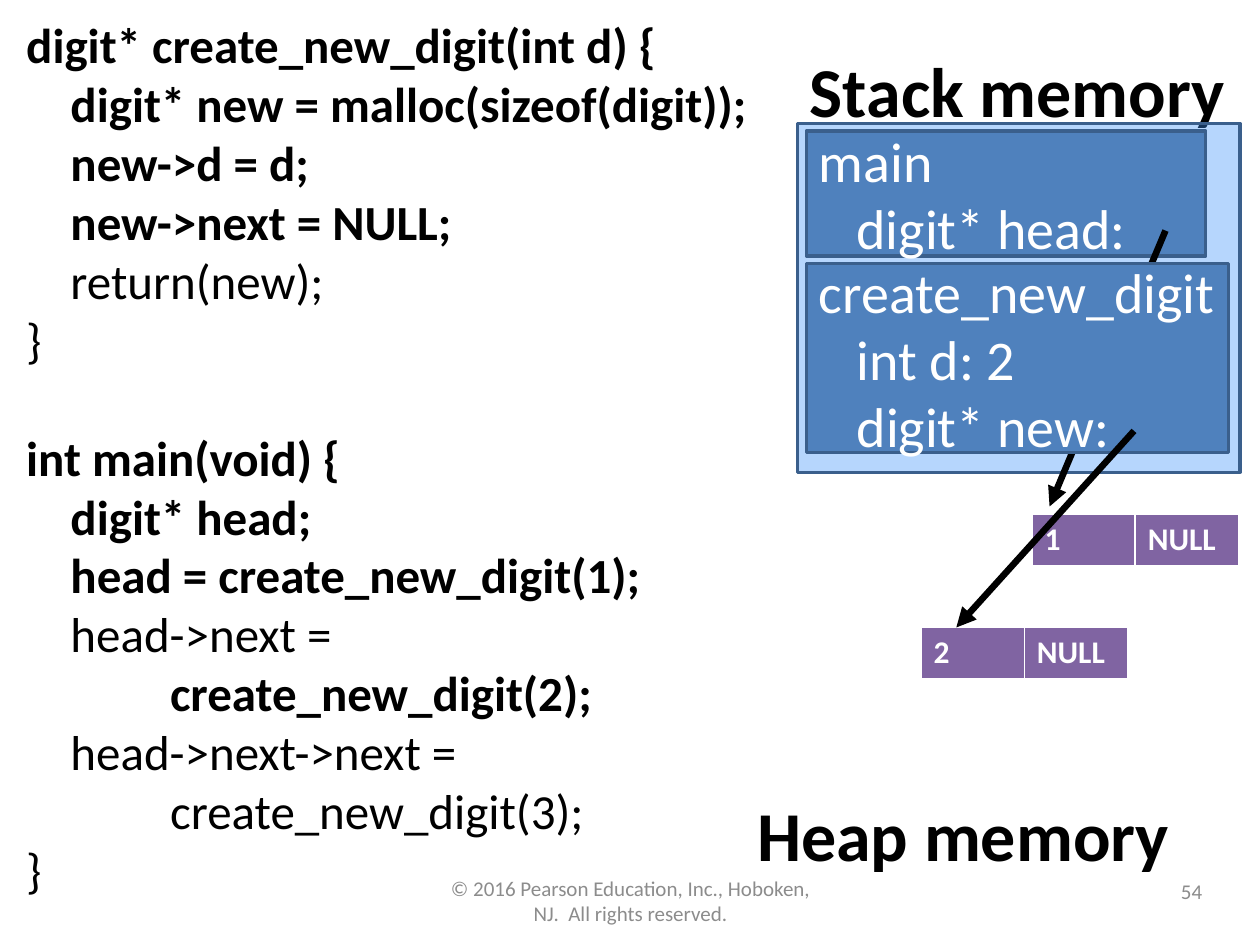
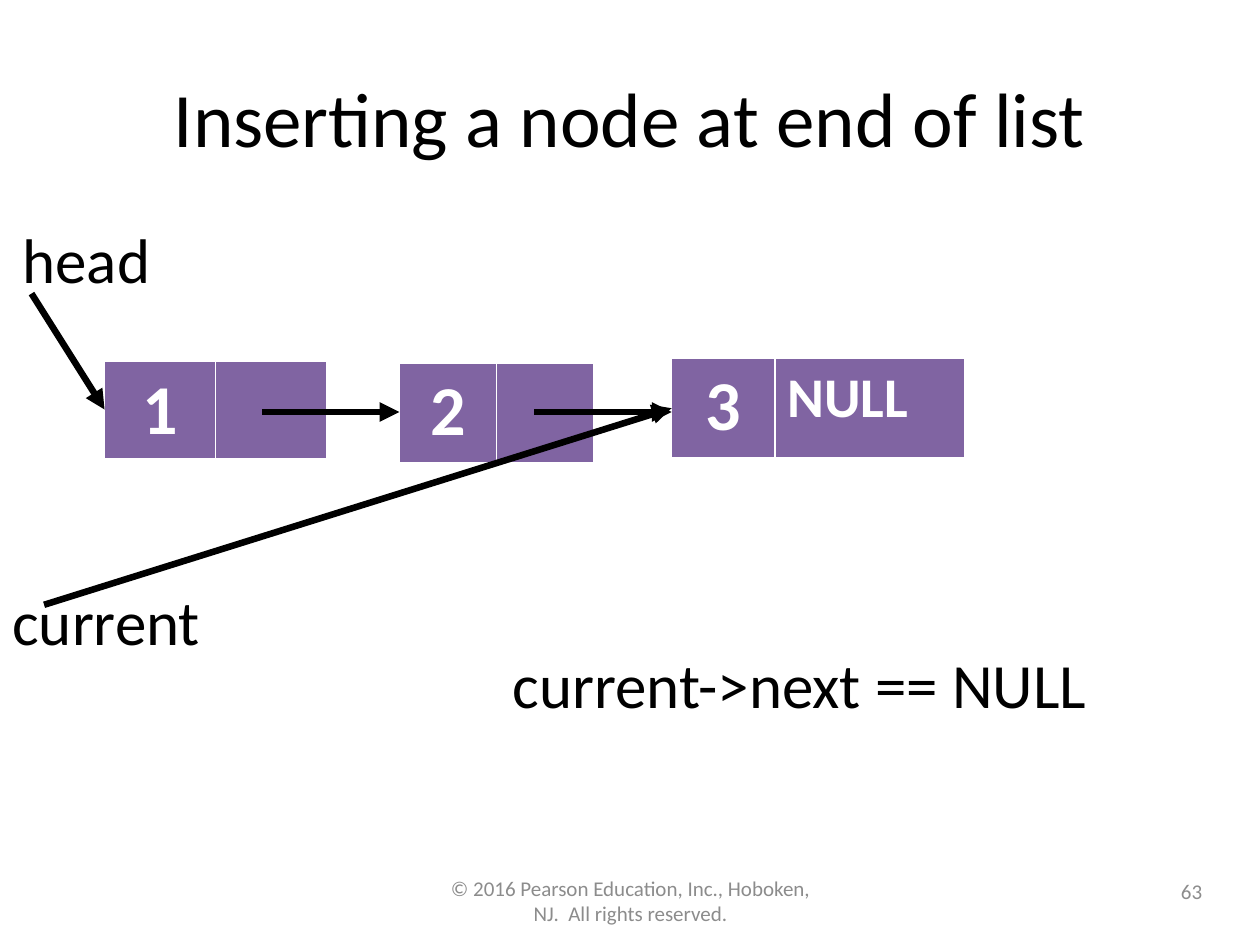
from dataclasses import dataclass

from lxml import etree
from pptx import Presentation
from pptx import util as u
from pptx.dml.color import RGBColor
from pptx.enum import shapes, text
from pptx.oxml.ns import qn


@dataclass(frozen=True)
class Theme:
    font: str = "Calibri"
    ink: str = "000000"
    light: str = "FFFFFF"
    muted: str = "8C8C8C"
    region: str = "3A92FC"
    region_alpha: int = 37
    frame: str = "4F81BD"
    outline: str = "3A5F8C"
    node: str = "8064A2"
    title: int = 44
    heading: int = 40
    label: int = 36
    frame_size: int = 32
    code: int = 28
    node_small: int = 18
    footer: int = 12
    outline_width: float = 2
    arrow_width: float = 3.75
    code_line: float = 33.9


THEME = Theme()
SLIDE_SIZE = (10, 7.5)
LEFT, CENTER, RIGHT = text.PP_ALIGN.LEFT, text.PP_ALIGN.CENTER, text.PP_ALIGN.RIGHT
COPYRIGHT = "© 2016 Pearson Education, Inc., Hoboken, NJ.  All rights reserved."

# Slide 1 content: functions as lines of (text, bold) runs; bold lines have been executed
FUNCTIONS = [
    [
        [("digit* create_new_digit(int d) {", True)],
        [("    digit* new = malloc(sizeof(digit));", True)],
        [("    new->d = d;", True)],
        [("    new->next = NULL;", True)],
        [("    return(new);", False)],
        [("}", False)],
    ],
    [
        [("int main(void) {", True)],
        [("    digit* head;", True)],
        [("    ", False), ("head = create_new_digit(1);", True)],
        [("    head->next =", False)],
        [("             ", False), ("create_new_digit(2);", True)],
        [("    head->next->next =", False)],
        [("             create_new_digit(3);", False)],
        [("}", False)],
    ],
]
CODE_BOX = (0.11, 0.07, 5.95, 7.17)
HEADINGS = [("Stack memory", (6.33, 0.33, 3.53, 0.77)),
            ("Heap memory", (5.91, 6.23, 3.51, 0.77))]
STACK_REGION = (6.33, 0.98, 3.51, 2.77)
# Each call: function name, its variables, frame box, heap node, pointer to that node
CALLS = [
    {"name": "main", "variables": ["digit* head:"], "box": (6.4, 1.04, 3.17, 0.99),
     "value": "1", "node_at": (8.19, 4.08), "pointer": ((9.25, 1.83), (8.33, 4.02))},
    {"name": "create_new_digit", "variables": ["int d: 2", "digit* new:"],
     "box": (6.4, 2.09, 3.35, 1.5),
     "value": "2", "node_at": (7.31, 4.98), "pointer": ((9, 3.42), (7.59, 4.98))},
]
HEAP_COLUMNS, HEAP_HEIGHT = (0.82, 0.82), 0.41
VARIABLE_INDENT = 0.3

# Slide 2 content
LIST_TITLE = "Inserting a node at end of list"
# Each node: value, next field, left, top, column widths, height
LIST_NODES = [
    ("1", "", 0.83, 2.87, (0.88, 0.88), 0.77),
    ("2", "", 3.17, 2.88, (0.77, 0.77), 0.79),
    ("3", "NULL", 5.33, 2.84, (0.82, 1.51), 0.79),
]
LINK_Y, LINK_LENGTH = 3.27, 1.09
LIST_LABELS = [("head", (0.08, 1.7, 1.22, 0.71)),
               ("current", (0, 4.57, 1.7, 0.71)),
               ("current->next == NULL", (3.97, 5.07, 4.79, 0.71))]
LIST_POINTERS = [((0.25, 2.33), (0.83, 3.25)), ((0.35, 4.8), (5.33, 3.24))]


# Shared helpers
def inches(values):
    return [u.Inches(value) for value in values]


def format_paragraph(paragraph, size, color, bold=False, align=LEFT):
    paragraph.alignment = align
    for run in paragraph.runs:
        font = run.font
        font.name, font.size, font.bold = THEME.font, u.Pt(size), bold
        font.color.rgb = RGBColor.from_string(color)


def add_text(slide, content, box, size, color=THEME.ink, bold=False, align=LEFT,
             anchor=text.MSO_ANCHOR.TOP, wrap=False):
    frame = slide.shapes.add_textbox(*inches(box)).text_frame
    frame.word_wrap, frame.vertical_anchor = wrap, anchor
    frame.text = content
    format_paragraph(frame.paragraphs[0], size, color, bold, align)


def add_footer(slide, number):
    for content, box, align in [(COPYRIGHT, (3.42, 6.95, 3.17, 0.4), CENTER),
                                (number, (7.31, 6.87, 2.33, 0.4), RIGHT)]:
        add_text(slide, content, box, THEME.footer, THEME.muted, align=align,
                 anchor=text.MSO_ANCHOR.MIDDLE, wrap=True)


def add_rectangle(slide, box, color):
    shape = slide.shapes.add_shape(shapes.MSO_SHAPE.RECTANGLE, *inches(box))
    shape.shadow.inherit = False
    shape.fill.solid()
    shape.fill.fore_color.rgb = RGBColor.from_string(color)
    shape.line.color.rgb = RGBColor.from_string(THEME.outline)
    shape.line.width = u.Pt(THEME.outline_width)
    return shape


def add_arrow(slide, start, end):
    arrow = slide.shapes.add_connector(shapes.MSO_CONNECTOR.STRAIGHT, *inches(start + end))
    arrow.line.color.rgb = RGBColor.from_string(THEME.ink)
    arrow.line.width = u.Pt(THEME.arrow_width)
    etree.SubElement(arrow.line._get_or_add_ln(), qn("a:tailEnd"), type="triangle")
    etree.SubElement(arrow._element.spPr, qn("a:effectLst"))


def add_node(slide, at, columns, height, cells):
    """Draw a list node; each cell is (text, size, alignment)."""
    box = (*at, sum(columns), height)
    table = slide.shapes.add_table(1, len(columns), *inches(box)).table
    for index, (content, size, align) in enumerate(cells):
        table.columns[index].width = u.Inches(columns[index])
        cell = table.cell(0, index)
        cell.fill.solid()
        cell.fill.fore_color.rgb = RGBColor.from_string(THEME.node)
        if content:
            cell.text = content
            format_paragraph(cell.text_frame.paragraphs[0], size, THEME.light, True, align)


# Slide 1 parts
def add_code(slide):
    frame = slide.shapes.add_textbox(*inches(CODE_BOX)).text_frame
    frame.word_wrap = True
    paragraph = None
    for function in FUNCTIONS:
        for index, line in enumerate(function):
            starts_next = index == 0 and paragraph is not None
            paragraph = frame.add_paragraph() if paragraph else frame.paragraphs[0]
            if starts_next:
                paragraph.space_before = u.Pt(THEME.code_line)
            for content, _ in line:
                paragraph.add_run().text = content
            format_paragraph(paragraph, THEME.code, THEME.ink)
            for run, (_, bold) in zip(paragraph.runs, line):
                run.font.bold = bold


def add_call_frame(slide, call):
    frame = add_rectangle(slide, call["box"], THEME.frame).text_frame
    frame.word_wrap, frame.vertical_anchor = True, text.MSO_ANCHOR.MIDDLE
    frame.text = "\n".join([call["name"], *call["variables"]])
    for index, paragraph in enumerate(frame.paragraphs):
        format_paragraph(paragraph, THEME.frame_size, THEME.light)
        if index:
            properties = paragraph._p.get_or_add_pPr()
            properties.set("marL", str(u.Inches(VARIABLE_INDENT)))
            properties.set("indent", "0")


def build_memory_slide(presentation):
    slide = presentation.slides.add_slide(presentation.slide_layouts[6])
    add_footer(slide, "54")
    add_code(slide)
    for content, box in HEADINGS:
        add_text(slide, content, box, THEME.heading, bold=True)
    region = add_rectangle(slide, STACK_REGION, THEME.region)
    color = region._element.spPr.find(qn("a:solidFill"))[0]
    etree.SubElement(color, qn("a:alpha"), val=str(THEME.region_alpha * 1000))
    for call in CALLS:
        add_call_frame(slide, call)
        add_node(slide, call["node_at"], HEAP_COLUMNS, HEAP_HEIGHT,
                 [(content, THEME.node_small, LEFT) for content in (call["value"], "NULL")])
        add_arrow(slide, *call["pointer"])


# Slide 2 parts
def build_list_slide(presentation):
    slide = presentation.slides.add_slide(presentation.slide_layouts[5])
    title = slide.shapes.title
    title.left, title.top, title.width, title.height = inches((0.5, 0.3, 9, 1.25))
    title.text_frame.text = LIST_TITLE
    title.text_frame.vertical_anchor = text.MSO_ANCHOR.MIDDLE
    format_paragraph(title.text_frame.paragraphs[0], THEME.title, THEME.ink, align=CENTER)
    add_footer(slide, "63")
    for value, following, left, top, columns, height in LIST_NODES:
        add_node(slide, (left, top), columns, height,
                 [(value, THEME.heading, CENTER), (following, THEME.frame_size, LEFT)])
    for _, _, left, *_ in LIST_NODES[1:]:
        add_arrow(slide, (left - LINK_LENGTH, LINK_Y), (left, LINK_Y))
    for content, box in LIST_LABELS:
        add_text(slide, content, box, THEME.label)
    for start, end in LIST_POINTERS:
        add_arrow(slide, start, end)


def main():
    presentation = Presentation()
    presentation.slide_width, presentation.slide_height = inches(SLIDE_SIZE)
    build_memory_slide(presentation)
    build_list_slide(presentation)
    presentation.save("out.pptx")


if __name__ == "__main__":
    main()
